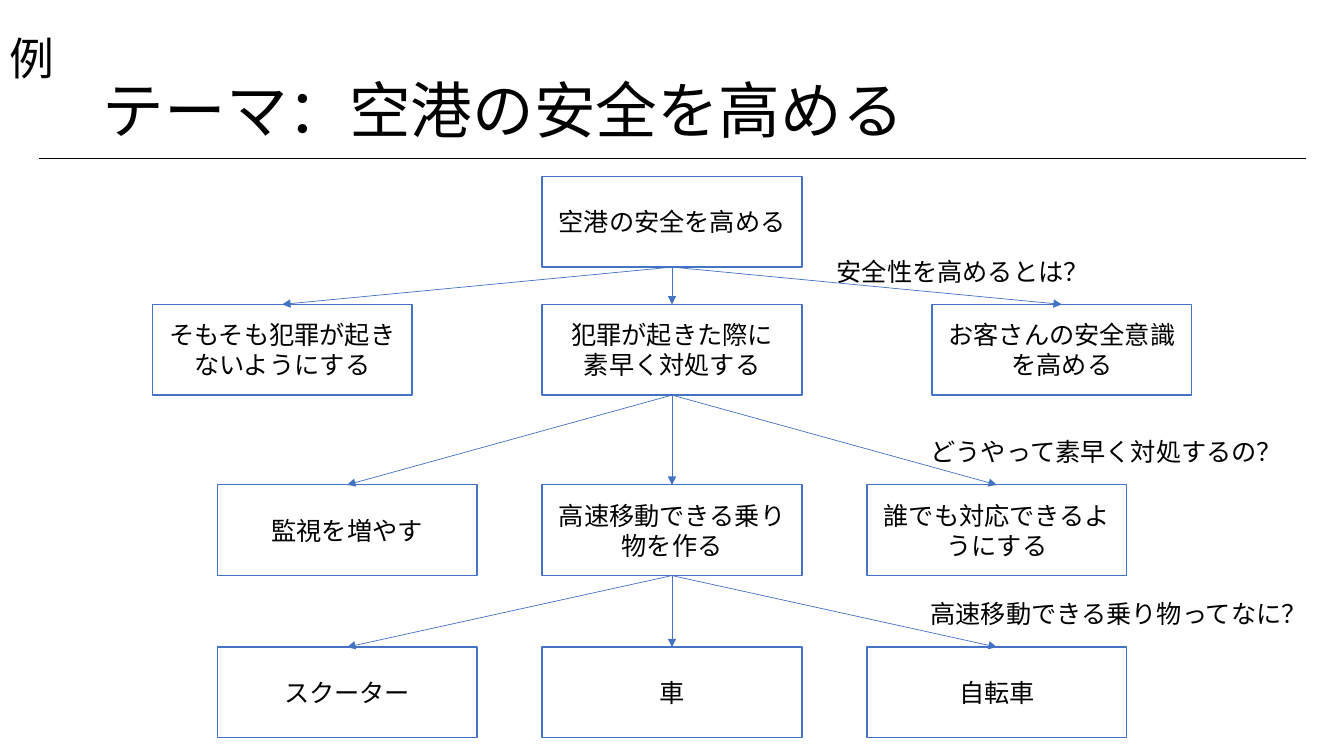
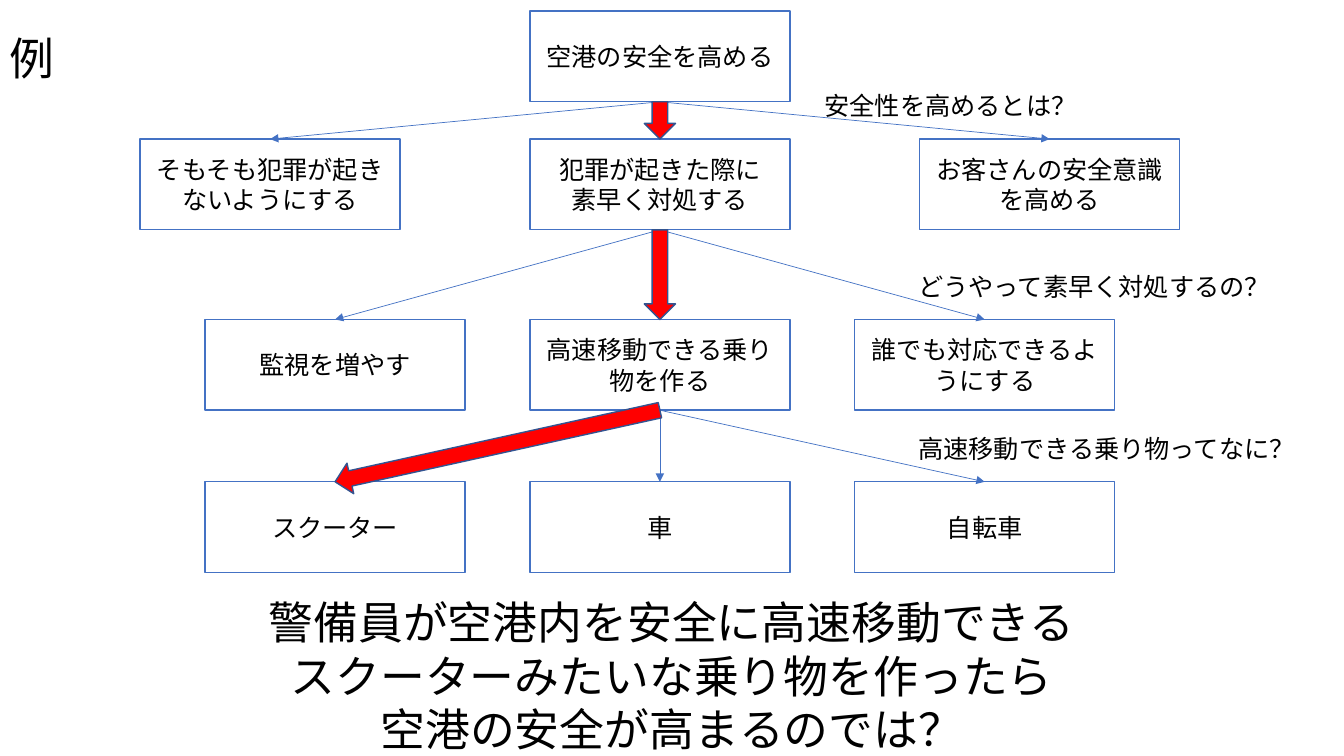
from math import atan2, degrees, hypot

from pptx import Presentation
from pptx.dml.color import RGBColor
from pptx.enum.shapes import MSO_CONNECTOR, MSO_SHAPE
from pptx.enum.text import MSO_ANCHOR, MSO_AUTO_SIZE, PP_ALIGN
from pptx.oxml.ns import qn
from pptx.util import Inches, Pt
from lxml import etree

STRAIGHT = MSO_CONNECTOR.STRAIGHT
RECT, DOWN_ARROW = MSO_SHAPE.RECTANGLE, MSO_SHAPE.DOWN_ARROW
TOP, MIDDLE = MSO_ANCHOR.TOP, MSO_ANCHOR.MIDDLE
GROW, FIXED = MSO_AUTO_SIZE.SHAPE_TO_FIT_TEXT, MSO_AUTO_SIZE.NONE
LEFT, CENTER = PP_ALIGN.LEFT, PP_ALIGN.CENTER

WIDTH, HEIGHT = 13.33, 7.5
FONT = "Noto Sans CJK JP"
COLORS = {"text": "000000", "paper": "FFFFFF", "node": "4472C4",
          "route": "FF0000", "route_edge": "325491"}

# The tree box has 16 columns; a node spans 4 and lies centred on its column.
TREE_COLUMNS, NODE_COLUMNS = 16, 4
TREE_SIZE = (10.31, 5.57)
NODE_HEIGHT = 0.9
QUESTION_RISE = 0.53
# Each level: top, columns between nodes, node texts
LEVELS = [
    (0, 0, ["空港の安全を高める"]),
    (1.27, 6, ["そもそも犯罪が起きないようにする",
               "犯罪が起きた際に\n素早く対処する",
               "お客さんの安全意識を高める"]),
    (3.06, 5, ["監視を増やす", "高速移動できる乗り物を作る",
               "誰でも対応できるようにする"]),
    (4.67, 5, ["スクーター", "車", "自転車"]),
]
# Each question stands above a level: left, width, text
QUESTIONS = [
    (6.69, 2.9, "安全性を高めるとは？"),
    (7.62, 4.09, "どうやって素早く対処するの？"),
    (7.62, 4.09, "高速移動できる乗り物ってなに？"),
]
CONCLUSION = ("警備員が空港内を安全に高速移動できる\n"
              "スクーターみたいな乗り物を作ったら\n"
              "空港の安全が高まるのでは？")


def rgb(name):
    """Return a named colour."""
    return RGBColor.from_string(COLORS[name])


def write(sp, text, size, align=LEFT, spacing=1.0, **frame):
    """Write text, one paragraph per line, in the shared font."""
    tf = sp.text_frame
    tf.text = text
    for name, value in {"word_wrap": True, **frame}.items():
        setattr(tf, name, value)
    for p in tf.paragraphs:
        p.alignment, p.line_spacing = align, spacing
        for r in p.runs:
            for name, value in {"size": Pt(size), "name": FONT}.items():
                setattr(r.font, name, value)
            r.font.color.rgb = rgb("text")
            ea = etree.SubElement(r.font._element, qn("a:ea"))
            ea.set("typeface", FONT)


def add_text(s, box, text, size, **style):
    """Add a text box at the box given in inches."""
    sp = s.shapes.add_textbox(*map(Inches, box))
    write(sp, text, size, **style)


def add_filled(s, kind, box, fill, edge):
    """Add a flat preset shape with a one point outline."""
    sp = s.shapes.add_shape(kind, *map(Inches, box))
    sp.shadow.inherit = False
    sp.fill.solid()
    sp.fill.fore_color.rgb = rgb(fill)
    sp.line.color.rgb = rgb(edge)
    sp.line.width = Pt(1)
    return sp


def add_line(s, start, end, color, arrow=False):
    """Add a thin straight line, with an arrowhead if asked."""
    line = s.shapes.add_connector(STRAIGHT, *map(Inches, start + end))
    line.line.color.rgb = rgb(color)
    line.line.width = Pt(0.5)
    if arrow:
        etree.SubElement(line.line._get_or_add_ln(), qn("a:tailEnd"), type="triangle")
    etree.SubElement(line._element.spPr, qn("a:effectLst"))
    return line


def add_tree(s, left, top):
    """Draw the idea tree; return the centre and top of nodes by level."""
    width = TREE_SIZE[0]
    column = width / TREE_COLUMNS
    node_width = NODE_COLUMNS * column
    levels, parent = [], None
    for level_top, pitch, texts in LEVELS:
        y, middle = top + level_top, len(texts) // 2
        spots, nodes = [], []
        for i, text in enumerate(texts):
            x = left + width / 2 + (i - middle) * pitch * column
            box = (x - node_width / 2, y, node_width, NODE_HEIGHT)
            node = add_filled(s, RECT, box, "paper", "node")
            write(node, text, 18, align=CENTER, vertical_anchor=MIDDLE)
            if parent:
                px, py = levels[-1][len(levels[-1]) // 2]
                line = add_line(s, (px, py + NODE_HEIGHT), (x, y), "node", True)
                line.begin_connect(parent, 2)
                line.end_connect(node, 0)
            spots.append((x, y))
            nodes.append(node)
        levels.append(spots)
        parent = nodes[middle]
    for (level_top, _, _), (x, w, text) in zip(LEVELS[1:], QUESTIONS):
        add_text(s, (left + x, top + level_top - QUESTION_RISE, w, 0.4),
                 text, 18, vertical_anchor=TOP, auto_size=GROW)
    return levels


def add_route(s, spots, thickness=0.31):
    """Mark the way through the nodes with thick arrows."""
    for (x1, y1), (x2, y2) in zip(spots, spots[1:]):
        y1 += NODE_HEIGHT
        length = hypot(x2 - x1, y2 - y1)
        box = ((x1 + x2 - thickness) / 2, (y1 + y2 - length) / 2, thickness, length)
        arrow = add_filled(s, DOWN_ARROW, box, "route", "route_edge")
        arrow.rotation = degrees(atan2(x1 - x2, y2 - y1))


def add_label(s):
    """Put the example mark in the top left corner."""
    add_text(s, (0, 0, 0.77, 1.21), "例", 32, spacing=0.9, vertical_anchor=MIDDLE)


def theme_slide(prs):
    """Build the slide with the theme as title and the whole tree."""
    s = prs.slides.add_slide(prs.slide_layouts[5])
    title = s.shapes.title
    box = dict(left=0.92, top=0.4, width=11.5, height=1.45)
    for name, value in box.items():
        setattr(title, name, Inches(value))
    write(title, "テーマ：空港の安全を高める", 44, spacing=0.9,
          vertical_anchor=MIDDLE, auto_size=FIXED)
    add_line(s, (0.39, 1.57), (12.95, 1.57), "text")
    add_label(s)
    add_tree(s, 1.51, 1.75)


def conclusion_slide(prs):
    """Build the slide with the chosen route and the conclusion."""
    s = prs.slides.add_slide(prs.slide_layouts[6])
    add_label(s)
    root, goals, means, vehicles = add_tree(s, 1.39, 0.11)
    add_route(s, [root[0], goals[1], means[1], vehicles[0]])
    add_text(s, (0.87, 5.85, 11.59, 1.72), CONCLUSION, 32, align=CENTER,
             vertical_anchor=TOP, auto_size=GROW)


def main():
    """Build and save the presentation."""
    prs = Presentation()
    prs.slide_width, prs.slide_height = Inches(WIDTH), Inches(HEIGHT)
    theme_slide(prs)
    conclusion_slide(prs)
    prs.save("out.pptx")


main()
